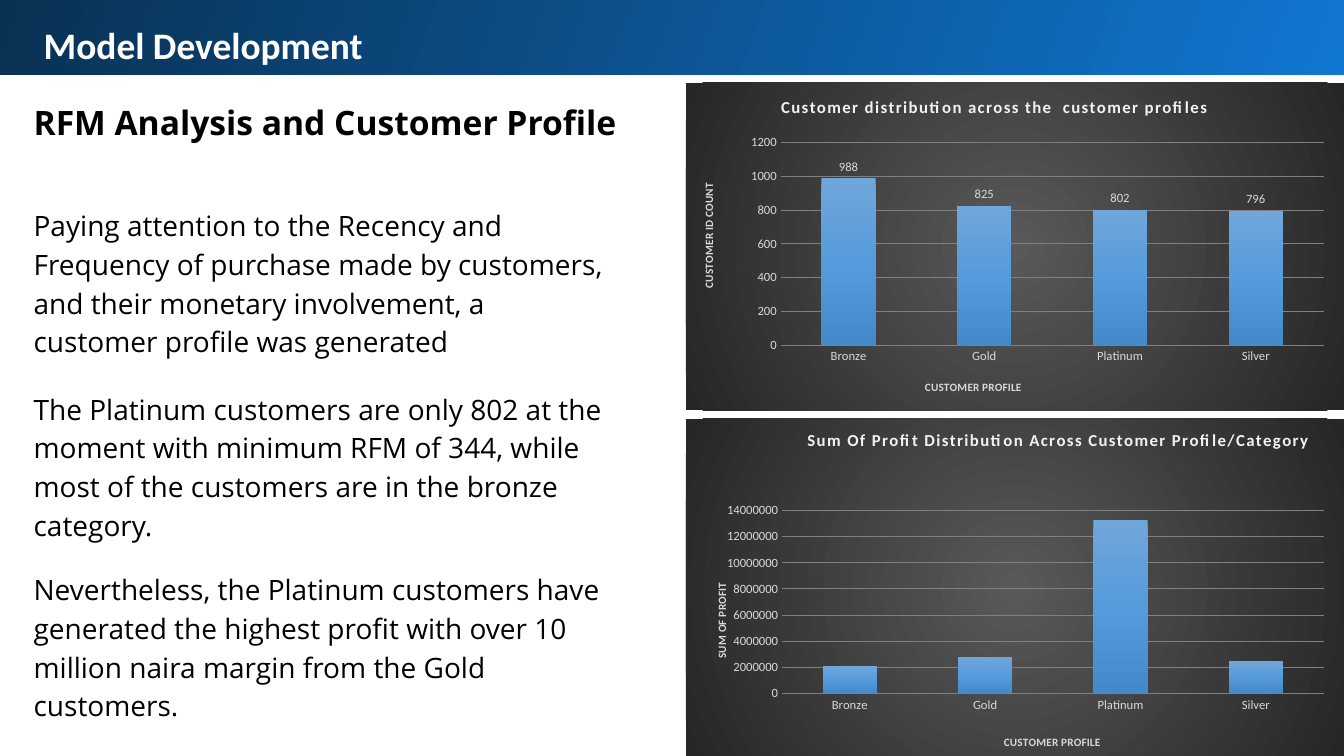
from dataclasses import dataclass

from lxml.etree import _Element as Node
from pptx import Presentation
from pptx.chart.data import CategoryChartData as Data
from pptx.dml.color import RGBColor as Color
from pptx.enum.chart import XL_CHART_TYPE as Kind
from pptx.enum.chart import XL_LABEL_POSITION as Spot
from pptx.enum.chart import XL_TICK_MARK as Tick
from pptx.enum.shapes import MSO_SHAPE as Form
from pptx.oxml import parse_xml as build
from pptx.oxml.ns import nsdecls, qn
from pptx.util import Pt

HUES = {
    "white": "FFFFFF", "black": "000000", "pale": "F2F2F2", "soft": "D9D9D9",
    "grid": "808080", "blue": "1077D2", "navy": "093153",
    "coal": "595959", "dark": "262626",
    "top": "71A6DB", "mid": "559BDB", "low": "448ACA",
}
TIERS = ("Bronze", "Gold", "Platinum", "Silver")
BODY = {"size": Pt(20), "name": "Open Sans", "bold": False}
HEAD = BODY | {"size": Pt(24), "bold": True}
BANNER = {"size": Pt(26.7), "name": "Calibri", "bold": True}
SMALL = {"size": Pt(9), "name": "Calibri", "bold": False}
AXIS = SMALL | {"size": Pt(8), "bold": True}
TITLE = AXIS | {"size": Pt(12)}
CIRCLE = ('<a:path path="circle"><a:fillToRect l="50000" t="50000" '
          'r="50000" b="50000"/></a:path>')


@dataclass
class Note:
    """A block of text on the slide, in points."""
    text: str
    box: tuple[float, float, float, float]
    font: dict
    hue: str = "black"
    lead: float = 1.15


@dataclass
class Label:
    """A chart caption with its place as shares of the chart."""
    text: str
    x: float
    y: float


@dataclass
class Graph:
    """A column chart of the customer tiers."""
    top: float
    high: float
    vals: tuple[int, ...]
    step: int
    peak: int
    area: tuple[float, float, float, float]
    title: Label
    base: Label
    side: Label
    tags: bool = False


NOTES = (
    Note("Model Development", (21.6, 6.5, 899, 84), BANNER, "white", 1.0),
    Note("RFM Analysis and Customer Profile", (14.4, 59, 478, 53), HEAD),
    Note("Paying attention to the Recency and Frequency of purchase made by "
         "customers, and their monetary involvement, a customer profile was "
         "generated", (14.4, 136, 434, 131), BODY),
    Note("The Platinum customers are only 802 at the moment with minimum RFM "
         "of 344, while most of the customers are in the bronze category.",
         (14.4, 267, 434, 131), BODY),
    Note("Nevertheless, the Platinum customers have generated the highest "
         "profit with over 10 million naira margin from the Gold customers.",
         (14.4, 396, 434, 131), BODY),
)
GRAPHS = (
    Graph(59, 234, (988, 825, 802, 796), 200, 1200,
          (0.144, 0.183, 0.825, 0.619),
          Label("Customer distribution across the  customer profiles",
                0.14, 0.03),
          Label("CUSTOMER PROFILE", 0.36, 0.9),
          Label("CUSTOMER ID COUNT", 0.02, 0.3), True),
    Graph(299, 241, (2100000, 2800000, 13300000, 2500000), 2000000, 14000000,
          (0.146, 0.273, 0.823, 0.542),
          Label("Sum Of Profit Distribution Across Customer Profile/Category",
                0.18, 0.02),
          Label("CUSTOMER PROFILE", 0.48, 0.93),
          Label("SUM OF PROFIT", 0.04, 0.48)),
)


def style(font, form: dict, hue: str) -> None:
    """Apply format values and a colour to a font."""
    for key, val in form.items():
        setattr(font, key, val)
    font.color.rgb = Color.from_string(HUES[hue])


def blend(props: Node, hues: tuple[str, ...], tail: str) -> None:
    """Swap the empty fill for a gradient of evenly spaced hues."""
    gap = 100000 // (len(hues) - 1)
    stops = "".join(f'<a:gs pos="{i * gap}"><a:srgbClr val="{HUES[hue]}"/></a:gs>'
                    for i, hue in enumerate(hues))
    props.replace(props.find(qn("a:noFill")), build(
        f'<a:gradFill {nsdecls("a")} rotWithShape="1">'
        f'<a:gsLst>{stops}</a:gsLst>{tail}</a:gradFill>'))


def slant(deg: int) -> str:
    """Return the XML of a linear gradient angle."""
    return f'<a:lin ang="{deg * 60000}" scaled="0"/>'


def place(node: Node, slot: int, marks: dict) -> None:
    """Give a chart part a manual layout."""
    old = node.find(qn("c:layout"))
    if old is not None:
        node.remove(old)
    rows = "".join(f'<c:{key} val="{val}"/>' for key, val in marks.items())
    node.insert(slot, build(f'<c:layout {nsdecls("c")}><c:manualLayout>{rows}'
                            '</c:manualLayout></c:layout>'))


def caption(title, label: Label, form: dict, hue: str):
    """Write a chart or axis title and return its text frame."""
    frame = title.text_frame
    frame.text = label.text
    style(frame.paragraphs[0].runs[0].font, form, hue)
    place(title._element, 1, {"xMode": "edge", "yMode": "edge",
                              "x": label.x, "y": label.y})
    return frame


def write(slide, note: Note) -> None:
    """Add a wrapped text box."""
    frame = slide.shapes.add_textbox(*map(Pt, note.box)).text_frame
    frame.word_wrap = True
    for side in ("left", "top", "right", "bottom"):
        setattr(frame, f"margin_{side}", Pt(9.6))
    line = frame.paragraphs[0]
    line.line_spacing = note.lead
    run = line.add_run()
    run.text = note.text
    style(run.font, note.font, note.hue)


def plot(slide, graph: Graph) -> None:
    """Add a dark column chart."""
    data = Data()
    data.categories = TIERS
    data.add_series("Series 1", graph.vals)
    chart = slide.shapes.add_chart(
        Kind.COLUMN_CLUSTERED, Pt(490), Pt(graph.top), Pt(470),
        Pt(graph.high), data).chart
    style(chart.font, SMALL | {"size": Pt(10)}, "black")
    chart.has_legend = False
    root = chart._chartSpace
    back = build(f'<c:spPr {nsdecls("c", "a")}><a:noFill/>'
                 '<a:ln><a:noFill/></a:ln></c:spPr>')
    root.find(qn("c:chart")).addnext(back)
    blend(back, ("coal", "dark"), CIRCLE)

    chart.has_title = True
    frame = caption(chart.chart_title, graph.title, TITLE, "pale")
    frame.paragraphs[0].runs[0].font._element.set("spc", "100")
    axes = (chart.category_axis, graph.base), (chart.value_axis, graph.side)
    for axis, label in axes:
        axis.major_tick_mark = axis.minor_tick_mark = Tick.NONE
        axis.format.line.fill.background()
        style(axis.tick_labels.font, SMALL, "soft")
        frame = caption(axis.axis_title, label, AXIS, "soft")
    frame._txBody.bodyPr.set("rot", "-5400000")
    scale = {"minimum_scale": 0, "maximum_scale": graph.peak,
             "major_unit": graph.step, "has_major_gridlines": True}
    for key, val in scale.items():
        setattr(axis, key, val)
    grid = axis.major_gridlines.format.line
    grid.width = Pt(0.75)
    grid.color.rgb = Color.from_string(HUES["grid"])

    bars = chart.plots[0]
    bars.gap_width = 150
    bars.vary_by_categories = False
    row = bars.series[0]
    row.format.fill.background()
    blend(row._element.find(qn("c:spPr")), ("top", "mid", "low"), slant(90))
    if graph.tags:
        tags = row.data_labels
        tags.show_value = True
        tags.position = Spot.OUTSIDE_END
        style(tags.font, SMALL, "soft")
    names = ("x", "y", "w", "h")
    place(root.find(".//" + qn("c:plotArea")), 0,
          {"layoutTarget": "inner", "xMode": "edge", "yMode": "edge"}
          | dict(zip(names, graph.area)))


deck = Presentation()
deck.slide_width, deck.slide_height = Pt(960), Pt(540)
page = deck.slides.add_slide(deck.slide_layouts[6])
band = page.shapes.add_shape(Form.RECTANGLE, 0, 0, Pt(965), Pt(53.3))
band.shadow.inherit = False
band.line.fill.background()
band.fill.background()
blend(band._element.spPr, ("blue", "navy"), slant(200))
for note in NOTES:
    write(page, note)
for graph in GRAPHS:
    plot(page, graph)
deck.save("out.pptx")
